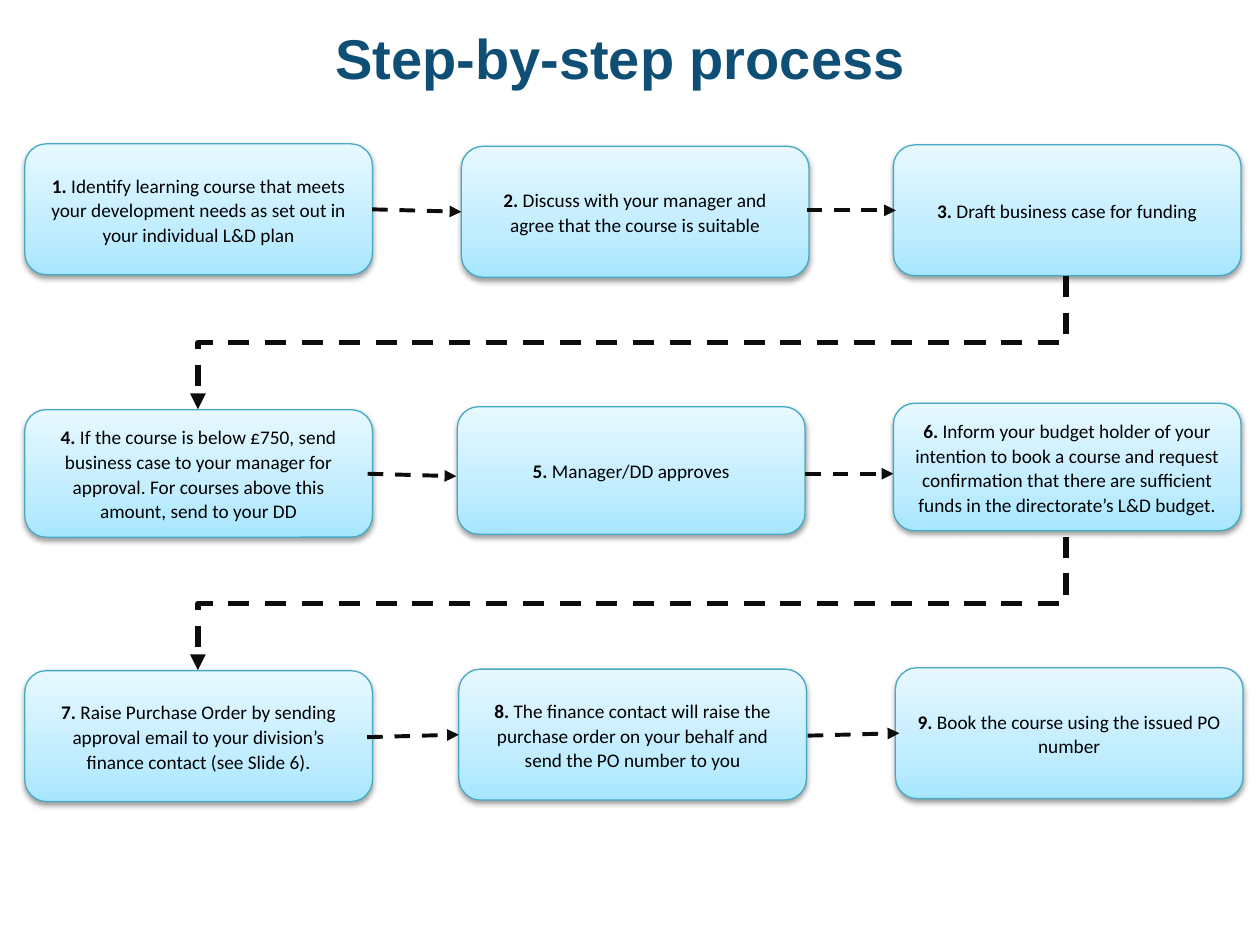
"""Build a slide with a nine-step process for booking a learning course."""
from copy import deepcopy

from lxml.etree import SubElement
from pptx import Presentation
from pptx.dml.color import RGBColor
from pptx.enum.dml import MSO_LINE
from pptx.enum.shapes import MSO_CONNECTOR, MSO_SHAPE
from pptx.enum.text import MSO_ANCHOR, PP_ALIGN
from pptx.oxml.ns import qn
from pptx.util import Cm, Pt


def color(hex_value):
    return RGBColor.from_string(hex_value)


def add_arrow(kind, start, end, width):
    arrow = slide.shapes.add_connector(kind, *map(Cm, start + end))
    arrow.line.color.rgb = color("0D0D0D")
    arrow.line.width = Pt(width)
    arrow.line.dash_style = MSO_LINE.DASH
    SubElement(arrow.line._get_or_add_ln(), qn("a:tailEnd"), type="triangle")
    SubElement(arrow._element.spPr, qn("a:effectLst"))
    return arrow


presentation = Presentation()
presentation.slide_width = Cm(25.4)
presentation.slide_height = Cm(19.05)
slide = presentation.slides.add_slide(presentation.slide_layouts[5])

title = slide.shapes.title
title.left, title.top, title.width, title.height = Cm(0.3), Cm(0.25), Cm(24.41), Cm(1.8)
title.text_frame.text = "Step-by-step process"
title.text_frame.vertical_anchor = MSO_ANCHOR.MIDDLE
title_paragraph = title.text_frame.paragraphs[0]
title_paragraph.alignment = PP_ALIGN.CENTER
title_font = title_paragraph.runs[0].font
title_font.name, title_font.size, title_font.bold = "Arial", Pt(32), True
title_font.color.rgb = color("104F75")

BOX_WIDTH = 7.01
GRADIENT = [(0, "A7E6FF"), (0.35, "C1EDFF"), (1, "E7F8FF")]
steps = [
    (0.5, 2.9, 2.64, "Identify learning course that meets your development needs as set out in your individual L&D plan"),
    (9.3, 2.95, 2.64, "Discuss with your manager and agree that the course is suitable"),
    (18.01, 2.92, 2.64, "Draft business case for funding"),
    (0.5, 8.26, 2.57, "If the course is below £750, send business case to your manager for approval. "
                      "For courses above this amount, send to your DD"),
    (9.22, 8.2, 2.57, "Manager/DD approves"),
    (18.01, 8.13, 2.57, "Inform your budget holder of your intention to book a course and request "
                        "confirmation that there are sufficient funds in the directorate’s L&D budget."),
    (0.5, 13.52, 2.64, "Raise Purchase Order by sending approval email to your division’s finance contact (see Slide 6)."),
    (9.25, 13.49, 2.64, "The finance contact will raise the purchase order on your behalf and send the PO number to you"),
    (18.05, 13.46, 2.64, "Book the course using the issued PO number"),
]

for number, (left, top, height, text) in enumerate(steps, start=1):
    box = slide.shapes.add_shape(
        MSO_SHAPE.ROUNDED_RECTANGLE, Cm(left), Cm(top), Cm(BOX_WIDTH), Cm(height))
    box.fill.gradient()
    box.fill.gradient_angle = 90
    stop_list = box._element.spPr.find(".//" + qn("a:gsLst"))
    stop_list.append(deepcopy(stop_list[0]))
    for stop, (position, hex_value) in zip(box.fill.gradient_stops, GRADIENT):
        stop.position = position
        stop.color.rgb = color(hex_value)
    box.line.color.rgb = color("46AAC5")
    box.line.width = Pt(0.75)

    box.shadow.inherit = False
    effects = box._element.spPr.find(qn("a:effectLst"))
    shadow = SubElement(effects, qn("a:outerShdw"), blurRad="40000", dist="20000",
                        dir="5400000", rotWithShape="0")
    shadow_color = SubElement(shadow, qn("a:srgbClr"), val="000000")
    SubElement(shadow_color, qn("a:alpha"), val="38000")

    box.text_frame.word_wrap = True
    box.text_frame.vertical_anchor = MSO_ANCHOR.MIDDLE
    paragraph = box.text_frame.paragraphs[0]
    paragraph.alignment = PP_ALIGN.CENTER
    paragraph.line_spacing = 1.07
    paragraph.space_after = Pt(8)
    for content, bold in [(f"{number}. ", True), (text, False)]:
        run = paragraph.add_run()
        run.text = content
        run.font.name, run.font.size, run.font.bold = "Calibri", Pt(11), bold
        run.font.color.rgb = color("000000")

step_arrows = [
    ((7.5, 4.22), (9.3, 4.27)),
    ((16.26, 4.24), (18.06, 4.24)),
    ((7.41, 9.55), (9.2, 9.6)),
    ((16.23, 9.55), (18.01, 9.55)),
    ((7.4, 14.86), (9.25, 14.81)),
    ((16.28, 14.83), (18.13, 14.78)),
]
for start, end in step_arrows:
    add_arrow(MSO_CONNECTOR.STRAIGHT, start, end, 2.25)

ROW_GAP, ROW_SPAN = 2.69, 17.5
CENTER_X = 12.74
for row_bottom in (5.56, 10.82):
    center_y = row_bottom + ROW_GAP / 2
    start = (CENTER_X - ROW_GAP / 2, center_y - ROW_SPAN / 2)
    end = (CENTER_X + ROW_GAP / 2, center_y + ROW_SPAN / 2)
    row_arrow = add_arrow(MSO_CONNECTOR.ELBOW, start, end, 3)
    row_arrow._element.spPr.find(qn("a:xfrm")).set("rot", "5400000")

presentation.save("out.pptx")
